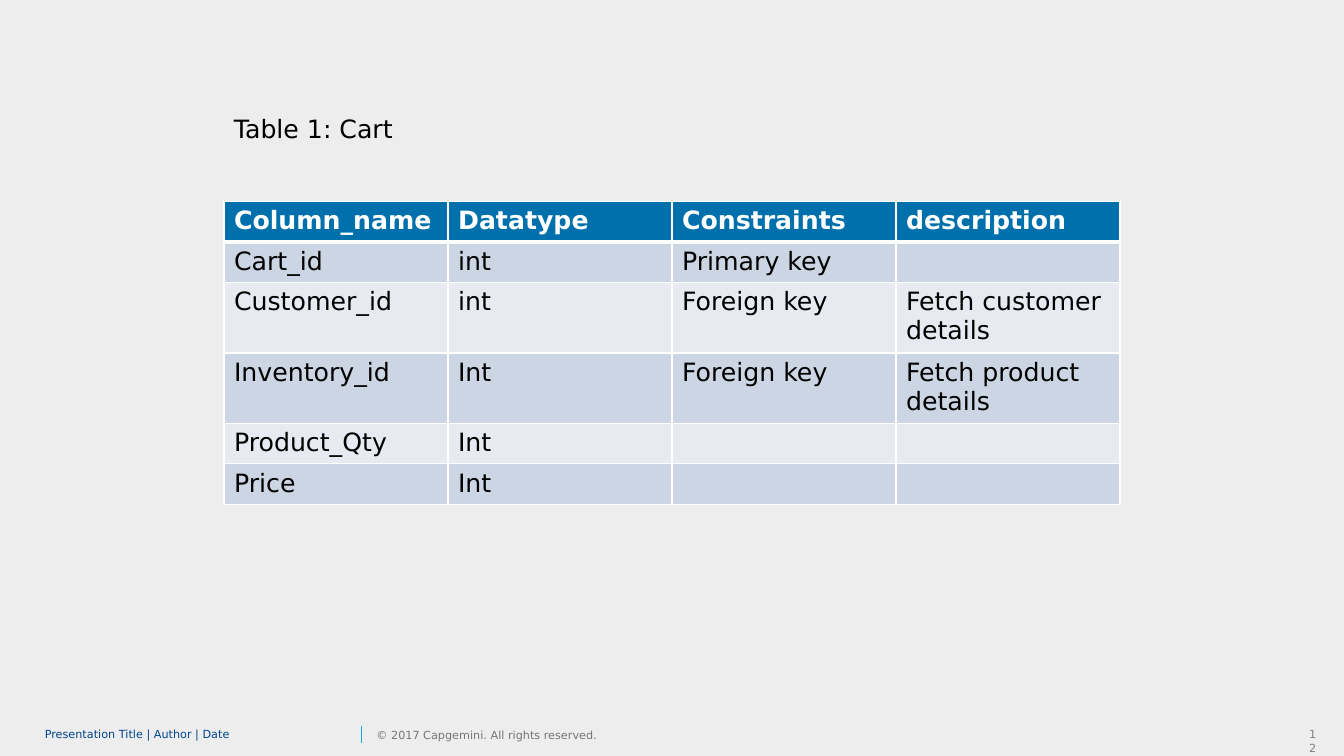
from pptx import Presentation
from pptx.dml.color import RGBColor as Rgb
from pptx.enum.shapes import MSO_CONNECTOR as Link, MSO_SHAPE as Form
from pptx.enum.text import MSO_ANCHOR as Anchor, PP_ALIGN as Align
from pptx.oxml import parse_xml
from pptx.oxml.ns import nsdecls
from pptx.util import Inches, Pt

WIDE, HIGH = 13.33, 7.5
COLS, ROWS = 12, 15
FONT = "DejaVu Sans"
HUES = {
    "back": "EDEDED", "head": "0070AD", "dark": "CCD5E3", "light": "E7EBF1",
    "white": "FFFFFF", "black": "000000", "navy": "00458D", "cyan": "12ABDB",
    "grey": "808080", "stone": "767676",
}
CART = [
    ("Column_name", "Datatype", "Constraints", "description"),
    ("Cart_id", "int", "Primary key", ""),
    ("Customer_id", "int", "Foreign key", "Fetch customer details"),
    ("Inventory_id", "Int", "Foreign key", "Fetch product details"),
    ("Product_Qty", "Int", "", ""),
    ("Price", "Int", "", ""),
]
TALL = [0.8, 0.8, 1.4, 1.4, 0.8, 0.8]


def across(cols):
    return Inches(cols * WIDE / COLS)


def down(rows):
    return Inches(rows * HIGH / ROWS)


def hue(name):
    return Rgb.from_string(HUES[name])


class Page:
    """Draws on one slide; places are in grid columns and rows."""

    def __init__(self, deck):
        self.shapes = deck.slides.add_slide(deck.slide_layouts[6]).shapes

    def box(self, x, y, w, h, fill):
        area = self.shapes.add_shape(
            Form.RECTANGLE, across(x), down(y), across(w), down(h))
        area.shadow.inherit = False
        area.fill.solid()
        area.fill.fore_color.rgb = hue(fill)
        area.line.fill.background()

    def rule(self, x, top, end, color):
        line = self.shapes.add_connector(
            Link.STRAIGHT, across(x), down(top), across(x), down(end))
        line.line.color.rgb = hue(color)
        line.line.width = Pt(1)
        props = line._element.spPr
        props.append(parse_xml(f"<a:effectLst {nsdecls('a')}/>"))

    def add_run(self, para, text, size, color, bold=False):
        run = para.add_run()
        run.text = text
        font = run.font
        font.name, font.size, font.bold = FONT, Pt(size), bold
        font.color.rgb = hue(color)

    def text(self, x, y, w, h, words, size, color,
             flush=False, align=Align.LEFT, space=None):
        """Add a text box; flush drops its margins and centres it in height."""
        frame = self.shapes.add_textbox(
            across(x), down(y), across(w), down(h)).text_frame
        frame.word_wrap = True
        if flush:
            frame.margin_left = frame.margin_right = 0
            frame.margin_top = frame.margin_bottom = 0
            frame.vertical_anchor = Anchor.MIDDLE
        para = frame.paragraphs[0]
        para.alignment = align
        if space:
            para.line_spacing = space
        self.add_run(para, words, size, color)

    def edge(self, cell, base):
        """Border a cell in white, with its bottom line base points wide."""
        props = cell._tc.get_or_add_tcPr()
        sides = {"lnL": 1, "lnR": 1, "lnT": 1, "lnB": base}
        for spot, (side, width) in enumerate(sides.items()):
            props.insert(spot, parse_xml(
                f"<a:{side} {nsdecls('a')} w='{Pt(width)}'><a:solidFill>"
                f"<a:srgbClr val='{HUES['white']}'/></a:solidFill></a:{side}>"))

    def table(self, x, y, w, data, tall):
        count = len(data[0])
        grid = self.shapes.add_table(
            len(data), count, across(x), down(y), across(w), down(sum(tall))).table
        for col in grid.columns:
            col.width = across(w / count)
        for row, (line, rise) in enumerate(zip(data, tall)):
            grid.rows[row].height = down(rise)
            head = row == 0
            fill = "head" if head else ("light", "dark")[row % 2]
            for col, words in enumerate(line):
                cell = grid.cell(row, col)
                cell.fill.solid()
                cell.fill.fore_color.rgb = hue(fill)
                self.edge(cell, 3 if head else 1)
                if words:
                    self.add_run(cell.text_frame.paragraphs[0], words, 18,
                                 "white" if head else "black", head)


def main():
    deck = Presentation()
    deck.slide_width, deck.slide_height = Inches(WIDE), Inches(HIGH)
    page = Page(deck)
    page.box(0, 0, COLS, ROWS, "back")
    foot, deep = 14.34, 0.48
    page.text(11.6, foot, 0.24, deep, "12", 8, "grey", align=Align.RIGHT)
    page.rule(3.23, 14.4, 14.74, "cyan")
    page.text(0.4, foot, 2.78, deep, "Presentation Title | Author | Date",
              8, "navy", flush=True, space=0.85)
    page.text(3.36, foot, 2.19, deep, "© 2017 Capgemini. All rights reserved.",
              8, "stone", flush=True)
    page.table(2, 4, 8, CART, TALL)
    page.text(2, 2.16, 3.63, 0.8, "Table 1: Cart", 18, "black")
    deck.save("out.pptx")


if __name__ == "__main__":
    main()
